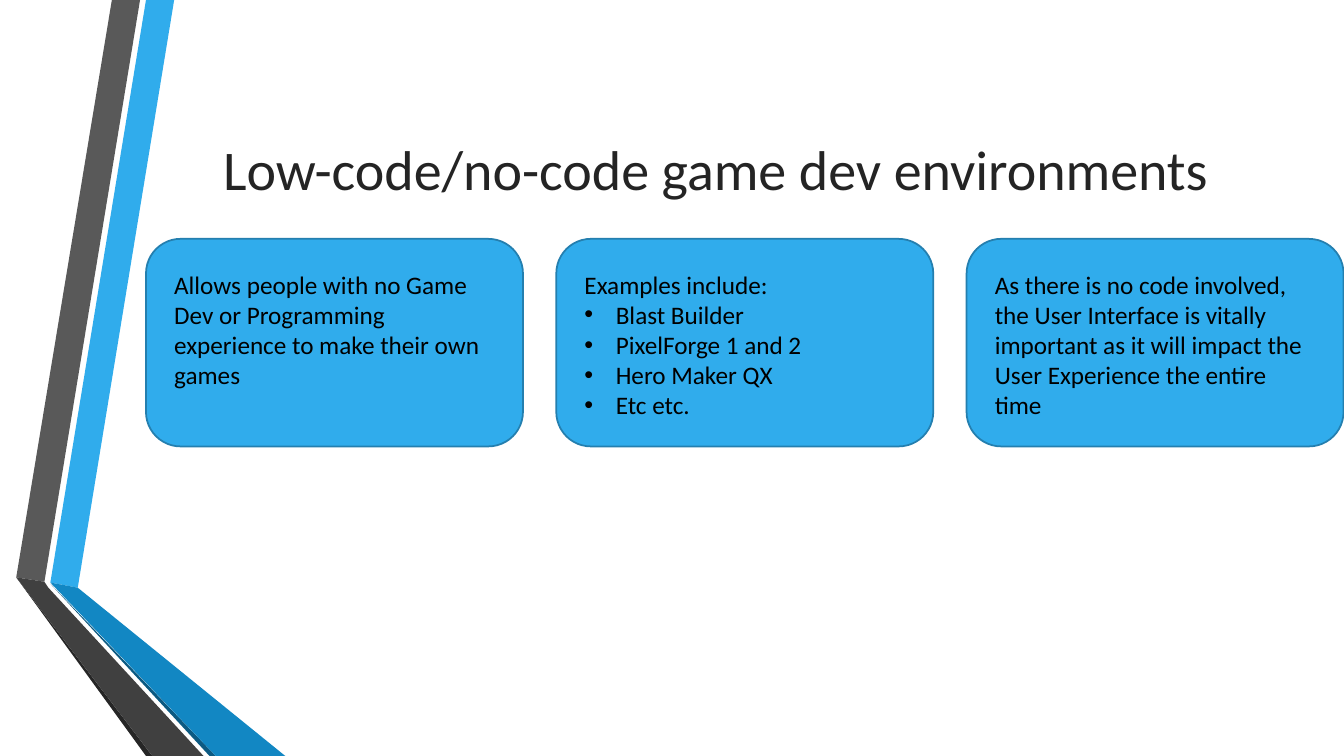
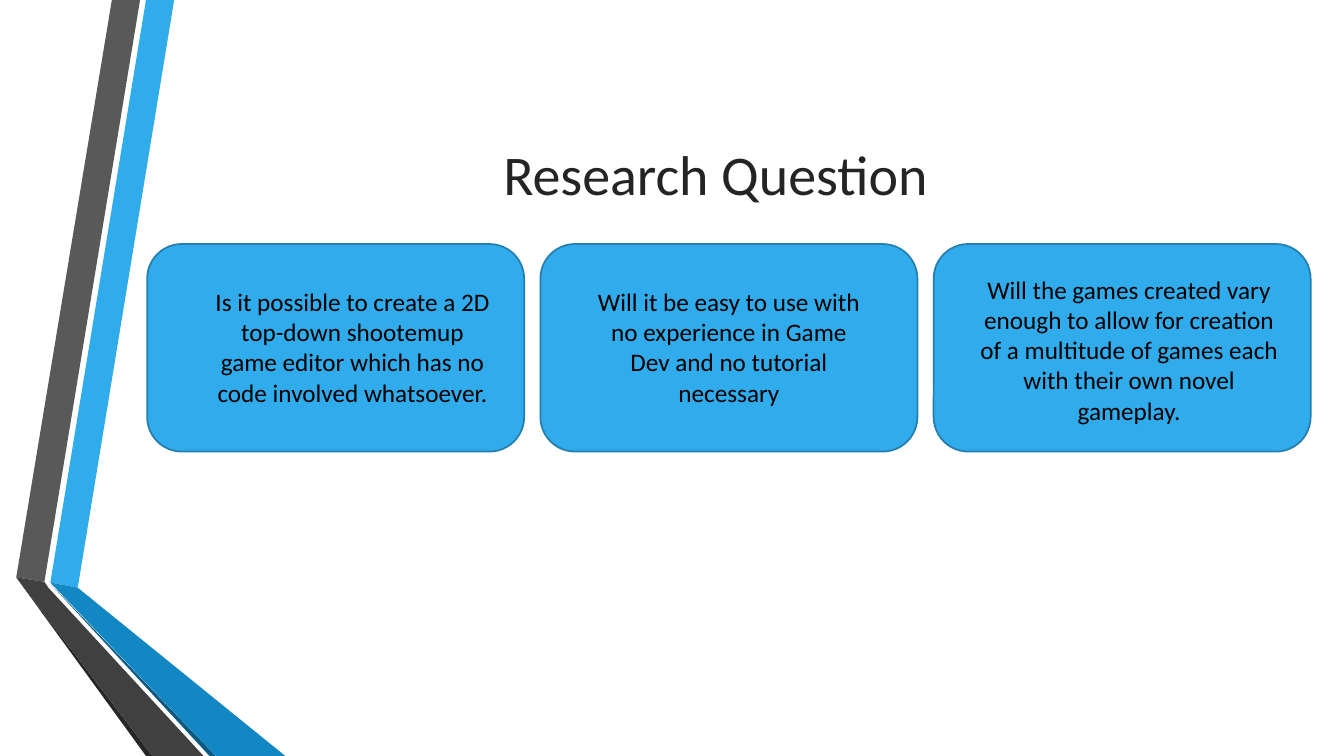
from lxml import etree
from pptx import Presentation
from pptx.dml.color import RGBColor
from pptx.enum.shapes import MSO_SHAPE
from pptx.enum.text import MSO_ANCHOR, PP_ALIGN
from pptx.oxml.ns import qn
from pptx.util import Cm, Pt

ROUNDED = MSO_SHAPE.ROUNDED_RECTANGLE
TOP, MIDDLE = MSO_ANCHOR.TOP, MSO_ANCHOR.MIDDLE
LEFT, CENTER = PP_ALIGN.LEFT, PP_ALIGN.CENTER

BLUE = RGBColor(0x30, 0xAC, 0xEC)
MID_BLUE = RGBColor(0x12, 0x87, 0xC3)
NAVY = RGBColor(0x0C, 0x5A, 0x82)
EDGE = RGBColor(0x24, 0x7F, 0xAF)
GREY = RGBColor(0x59, 0x59, 0x59)
CHARCOAL = RGBColor(0x40, 0x40, 0x40)
DARK = RGBColor(0x26, 0x26, 0x26)
TITLE_INK = RGBColor(0x24, 0x24, 0x24)
BLACK = RGBColor(0, 0, 0)

TITLE_FONT = {"name": "Calibri", "size": Pt(40)}
BODY_FONT = {"name": "Calibri", "size": Pt(18)}
SLIDE_W, SLIDE_H = 33.87, 19.05
CARD_W, CARD_H = 9.5, 5.23
INDENT = 0.79

RIBBONS = [
    (BLUE, [(1.27, 14.68), (1.96, 14.81), (4.39, 0), (3.68, 0)]),
    (GREY, [(3.53, 0), (2.82, 0), (0.41, 14.55), (1.12, 14.66)]),
    (DARK, [(0.41, 14.55), (3.68, SLIDE_H), (3.84, SLIDE_H)]),
    (NAVY, [(1.27, 14.71), (5.28, SLIDE_H), (5.44, SLIDE_H)]),
    (MID_BLUE, [(1.27, 14.68), (5.44, SLIDE_H), (7.19, SLIDE_H), (1.96, 14.81)]),
    (CHARCOAL, [(5.13, SLIDE_H), (1.22, 14.81), (1.12, 14.66), (0.41, 14.55),
                (3.84, SLIDE_H)]),
]


def add_ribbons(s):
    for color, points in RIBBONS:
        start, *rest = [(Cm(x), Cm(y)) for x, y in points]
        builder = s.shapes.build_freeform(*start)
        builder.add_line_segments(rest)
        sp = builder.convert_to_shape()
        sp.shadow.inherit = False
        sp.fill.solid()
        sp.fill.fore_color.rgb = color
        sp.line.fill.background()


def add_bullet(p):
    pPr = p._p.get_or_add_pPr()
    pPr.set("marL", str(Cm(INDENT)))
    pPr.set("indent", str(-Cm(INDENT)))
    etree.SubElement(pPr, qn("a:buFont")).set("typeface", "Arial")
    etree.SubElement(pPr, qn("a:buChar")).set("char", "•")


def add_text(s, box, lines, font, color, align, anchor=TOP):
    tf = s.shapes.add_textbox(*map(Cm, box)).text_frame
    tf.word_wrap = True
    tf.vertical_anchor = anchor
    for i, line in enumerate(lines):
        p = tf.paragraphs[0] if i == 0 else tf.add_paragraph()
        p.alignment = align
        if i > 0:
            add_bullet(p)
        r = p.add_run()
        r.text = line
        for key, value in font.items():
            setattr(r.font, key, value)
        r.font.color.rgb = color


def add_card(s, left, top, lines, inset, align):
    sp = s.shapes.add_shape(ROUNDED, Cm(left), Cm(top), Cm(CARD_W), Cm(CARD_H))
    sp.shadow.inherit = False
    sp.fill.solid()
    sp.fill.fore_color.rgb = BLUE
    sp.line.color.rgb = EDGE
    sp.line.width = Pt(1.25)
    dx, dy, width = inset
    box = (left + dx, top + dy, width, CARD_H - 2 * dy)
    add_text(s, box, lines, BODY_FONT, BLACK, align)


def add_card_slide(prs, title, title_top, row, cards, align):
    s = prs.slides.add_slide(prs.slide_layouts[6])
    add_ribbons(s)
    add_text(s, (4.11, title_top, 27.84, 4.88), [title], TITLE_FONT, TITLE_INK,
             CENTER, MIDDLE)
    left, top, pitch = row
    for i, (lines, inset) in enumerate(cards):
        add_card(s, left + i * pitch, top, lines, inset, align)


prs = Presentation()
prs.slide_width, prs.slide_height = Cm(SLIDE_W), Cm(SLIDE_H)

INSET = (0.46, 0.63, 8.58)
add_card_slide(prs, "Low-code/no-code game dev environments", 1.8,
               (3.68, 6.02, 10.34), [
    (["Allows people with no Game Dev or Programming experience to make "
      "their own games"], INSET),
    (["Examples include:", "Blast Builder", "PixelForge 1 and 2",
      "Hero Maker QX", "Etc etc."], INSET),
    (["As there is no code involved, the User Interface is vitally important "
      "as it will impact the User Experience the entire time"], INSET),
], LEFT)

add_card_slide(prs, "Research Question", 1.91, (3.71, 6.15, 9.91), [
    (["Is it possible to create a 2D top-down shootemup game editor which has "
      "no code involved whatsoever."], (1.35, 0.94, 7.65)),
    (["Will it be easy to use with no experience in Game Dev and no tutorial "
      "necessary"], (1.17, 0.94, 7.16)),
    (["Will the games created vary enough to allow for creation of a multitude "
      "of games each with their own novel gameplay."], (0.76, 0.63, 8.33)),
], CENTER)

prs.save("out.pptx")
